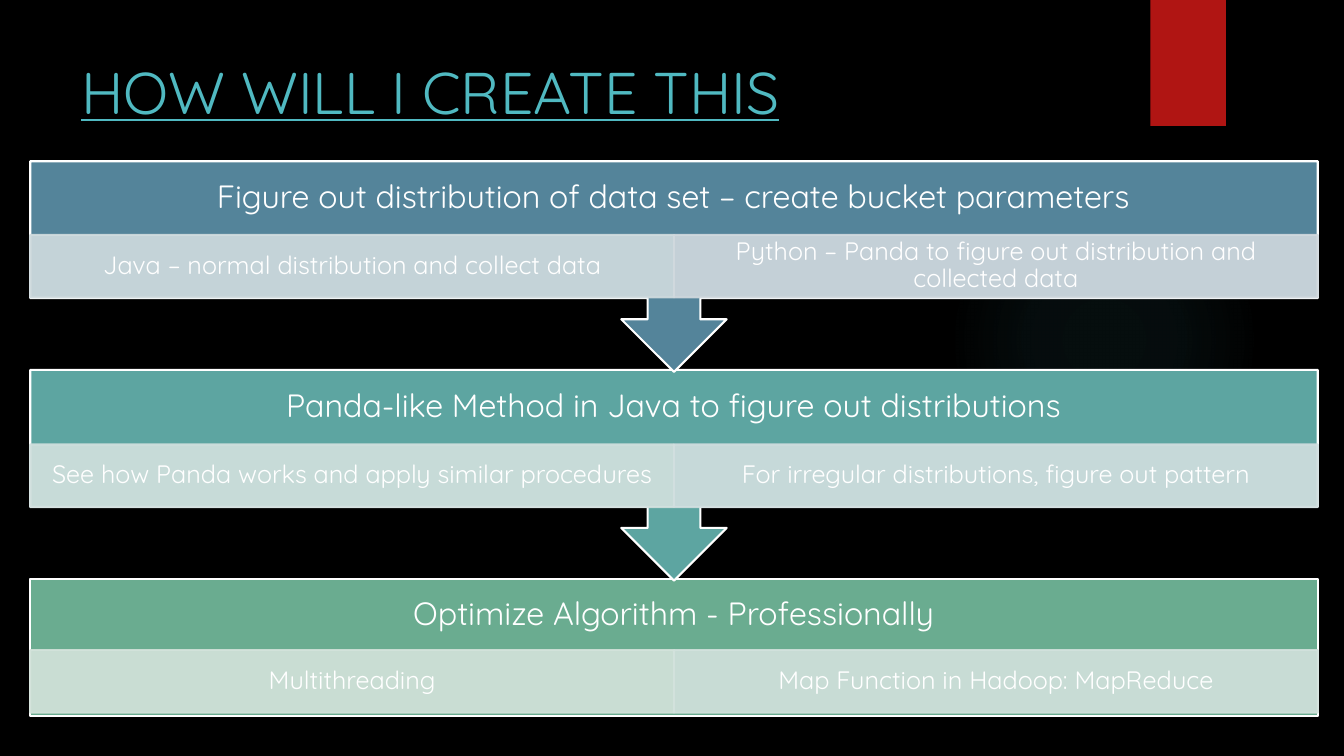
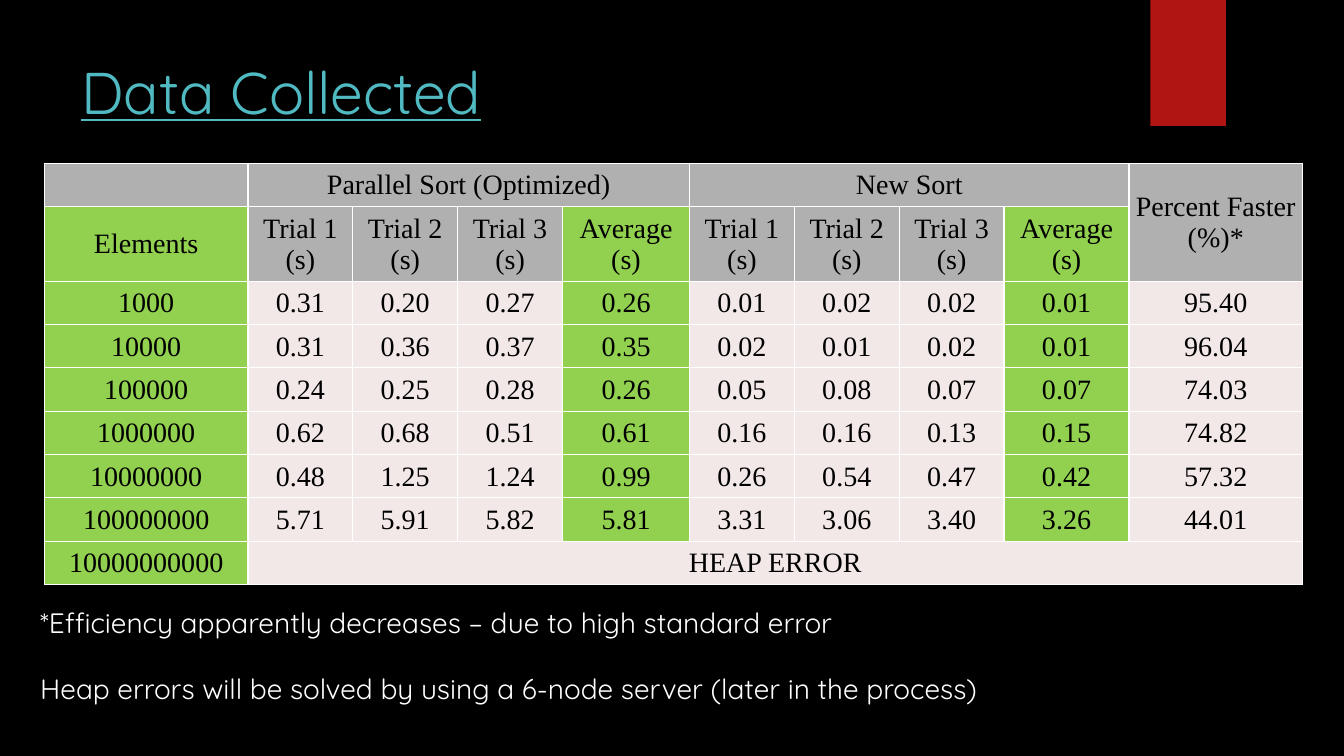
from lxml import etree
from pptx import Presentation
from pptx.dml.color import RGBColor
from pptx.enum.shapes import MSO_SHAPE
from pptx.enum.text import MSO_ANCHOR, PP_ALIGN
from pptx.oxml import parse_xml
from pptx.oxml.ns import nsdecls, qn
from pptx.util import Inches, Pt

RECT = MSO_SHAPE.RECTANGLE
OVAL = MSO_SHAPE.OVAL
ARROW = MSO_SHAPE.DOWN_ARROW_CALLOUT
MID = MSO_ANCHOR.MIDDLE
TOP = MSO_ANCHOR.TOP
LEFT = PP_ALIGN.LEFT
MIDST = PP_ALIGN.CENTER

SANS = "Quicksand"
SERIF = "Times New Roman"
BLACK = "000000"
WHITE = "FFFFFF"
TEAL = "50B9C1"
RED = "B01513"
GREY = "B0B0B0"
GREEN = "92D050"
PALE = "F2E8E7"

STEPS = [
    (ARROW, 2.09, 0.73, "54849A",
     "Figure out distribution of data set – create bucket parameters",
     [("D1DCDF", "Java – normal distribution and collect data"),
      ("D1D9DE", "Python – Panda to figure out distribution and collected data")]),
    (ARROW, 2.09, 0.74, "5DA5A1",
     "Panda-like Method in Java to figure out distributions",
     [("D3E1DF", "See how Panda works and apply similar procedures"),
      ("D2DFE0", "For irregular distributions, figure out pattern")]),
    (RECT, 1.36, 0.71, "6AAC90",
     "Optimize Algorithm - Professionally",
     [("D4E3DB", "Multithreading"),
      ("D3E2DD", "Map Function in Hadoop: MapReduce")]),
]

TRIALS = ["Trial 1 (s)", "Trial 2 (s)", "Trial 3 (s)", "Average (s)"]
ROWS = [
    ["", "Parallel Sort (Optimized)", "", "", "", "New Sort", "", "", "",
     "Percent Faster (%)*"],
    ["Elements", *TRIALS, *TRIALS, ""],
    "1000 0.31 0.20 0.27 0.26 0.01 0.02 0.02 0.01 95.40".split(),
    "10000 0.31 0.36 0.37 0.35 0.02 0.01 0.02 0.01 96.04".split(),
    "100000 0.24 0.25 0.28 0.26 0.05 0.08 0.07 0.07 74.03".split(),
    "1000000 0.62 0.68 0.51 0.61 0.16 0.16 0.13 0.15 74.82".split(),
    "10000000 0.48 1.25 1.24 0.99 0.26 0.54 0.47 0.42 57.32".split(),
    "100000000 5.71 5.91 5.82 5.81 3.31 3.06 3.40 3.26 44.01".split(),
    ["10000000000", "HEAP ERROR"] + [""] * 8,
]
MERGES = [(0, 1, 0, 4), (0, 5, 0, 8), (0, 9, 1, 9), (8, 1, 8, 9)]
GROUP = [1.04, 1.04, 1.04]
WIDTHS = [2.02, *GROUP, 1.26, *GROUP, 1.24, 1.72]
KEYS = (0, 4, 8)


def shade(code):
    return RGBColor.from_string(code)


def fade(fill, percent):
    for node in fill.iter(qn("a:srgbClr")):
        etree.SubElement(node, qn("a:alpha")).set("val", str(percent * 1000))


def add_run(para, text, size, color, font=SANS, under=False):
    run = para.add_run()
    run.text = text
    run.font.size = Pt(size)
    run.font.name = font
    run.font.color.rgb = shade(color)
    if under:
        run.font.underline = True


def set_frame(frame, pads, anchor):
    frame.word_wrap = True
    frame.vertical_anchor = anchor
    (frame.margin_left, frame.margin_top,
     frame.margin_right, frame.margin_bottom) = [Inches(p) for p in pads]


def add_form(slide, kind, box, color, edge=None, alpha=None):
    form = slide.shapes.add_shape(kind, *[Inches(n) for n in box])
    form.shadow.inherit = False
    form.fill.solid()
    form.fill.fore_color.rgb = shade(color)
    if edge:
        form.line.color.rgb = shade(edge)
        form.line.width = Pt(1.5)
    else:
        form.line.fill.background()
    if alpha:
        fade(form._element.spPr, alpha)
    return form


def add_label(form, text, size, pads):
    set_frame(form.text_frame, pads, MID)
    para = form.text_frame.paragraphs[0]
    para.alignment = MIDST
    para.line_spacing = 0.9
    add_run(para, text, size, WHITE)


def add_text(slide, box, lines, size, color, gap=0, under=False):
    frame = slide.shapes.add_textbox(*[Inches(n) for n in box]).text_frame
    set_frame(frame, (0.1, 0.05, 0.1, 0.05), TOP)
    for i, line in enumerate(lines):
        para = frame.add_paragraph() if i else frame.paragraphs[0]
        para.alignment = LEFT
        para.space_before = Pt(gap if i else 0)
        add_run(para, line, size, color, under=under)


def add_glow(slide):
    glow = add_form(slide, OVAL, (9.41, 1.83, 3.08, 3.08), TEAL)
    stops = "".join(
        f'<a:gs pos="{pos}000"><a:srgbClr val="{TEAL}">'
        f'<a:alpha val="{alpha}000"/></a:srgbClr></a:gs>'
        for pos, alpha in [(0, 7), (36, 6), (69, 0)])
    grad = parse_xml(
        f'<a:gradFill {nsdecls("a")}><a:gsLst>{stops}</a:gsLst>'
        '<a:path path="circle"><a:fillToRect l="50000" t="50000" '
        'r="50000" b="50000"/></a:path></a:gradFill>')
    props = glow._element.spPr
    props.replace(props.find(qn("a:solidFill")), grad)


def add_slide(prs, title):
    slide = prs.slides.add_slide(prs.slide_layouts[6])
    add_glow(slide)
    add_form(slide, RECT, (11.41, 0, 0.75, 1.25), RED)
    add_text(slide, (0.71, 0.5, 10.29, 1.53), [title], 42, TEAL, under=True)
    return slide


def add_step(slide, top, step):
    kind, high, drop, color, head, parts = step
    left, wide = 0.3, 12.77
    form = add_form(slide, kind, (left, top, wide, high), color, WHITE)
    add_label(form, head, 23, (0.18, 0.05, 0.18, 0.68))
    half = wide / len(parts)
    for i, (tint, text) in enumerate(parts):
        box = (left + i * half, top + drop, half, 0.62)
        part = add_form(slide, RECT, box, tint, tint, 90)
        add_label(part, text, 18, (0.14, 0.03, 0.14, 0.03))


def add_edges(cell):
    props = cell._tc.get_or_add_tcPr()
    for side in ("lnL", "lnR", "lnT", "lnB"):
        props.append(parse_xml(
            f'<a:{side} {nsdecls("a")} w="12700"><a:solidFill>'
            f'<a:srgbClr val="{WHITE}"/></a:solidFill></a:{side}>'))


def pick_fill(row, col):
    if row and col in KEYS:
        return GREEN
    return GREY if row < 2 else PALE


def fill_cell(cell, text, color):
    add_edges(cell)
    cell.fill.solid()
    cell.fill.fore_color.rgb = shade(color)
    cell.vertical_anchor = MID
    cell.margin_left = cell.margin_right = cell.margin_top = Inches(0.01)
    cell.margin_bottom = 0
    if text:
        para = cell.text_frame.paragraphs[0]
        para.alignment = MIDST
        add_run(para, text, 20, BLACK, SERIF)


def add_grid(slide):
    box = [Inches(n) for n in (0.44, 1.62, 12.49, 4.18)]
    grid = slide.shapes.add_table(len(ROWS), len(WIDTHS), *box).table
    for col, wide in zip(grid.columns, WIDTHS):
        col.width = Inches(wide)
    for r, texts in enumerate(ROWS):
        grid.rows[r].height = Inches(0.74 if r == 1 else 0.43)
        for c, text in enumerate(texts):
            color = PALE if r == len(ROWS) - 1 and c else pick_fill(r, c)
            fill_cell(grid.cell(r, c), text, color)
    for r, c, last, end in MERGES:
        grid.cell(r, c).merge(grid.cell(last, end))


def main():
    prs = Presentation()
    prs.slide_width = Inches(13.33)
    prs.slide_height = Inches(7.5)
    back = prs.slide_master.background.fill
    back.solid()
    back.fore_color.rgb = shade(BLACK)

    plan = add_slide(prs, "HOW WILL I CREATE THIS")
    for i, step in reversed(list(enumerate(STEPS))):
        add_step(plan, 1.6 + 2.07 * i, step)

    data = add_slide(prs, "Data Collected")
    add_grid(data)
    notes = [
        "*Efficiency apparently decreases – due to high standard error",
        "Heap errors will be solved by using a 6-node server "
        "(later in the process)",
    ]
    add_text(data, (0.3, 5.96, 11.61, 1.41), notes, 20, WHITE, gap=23)
    prs.save("out.pptx")


if __name__ == "__main__":
    main()
